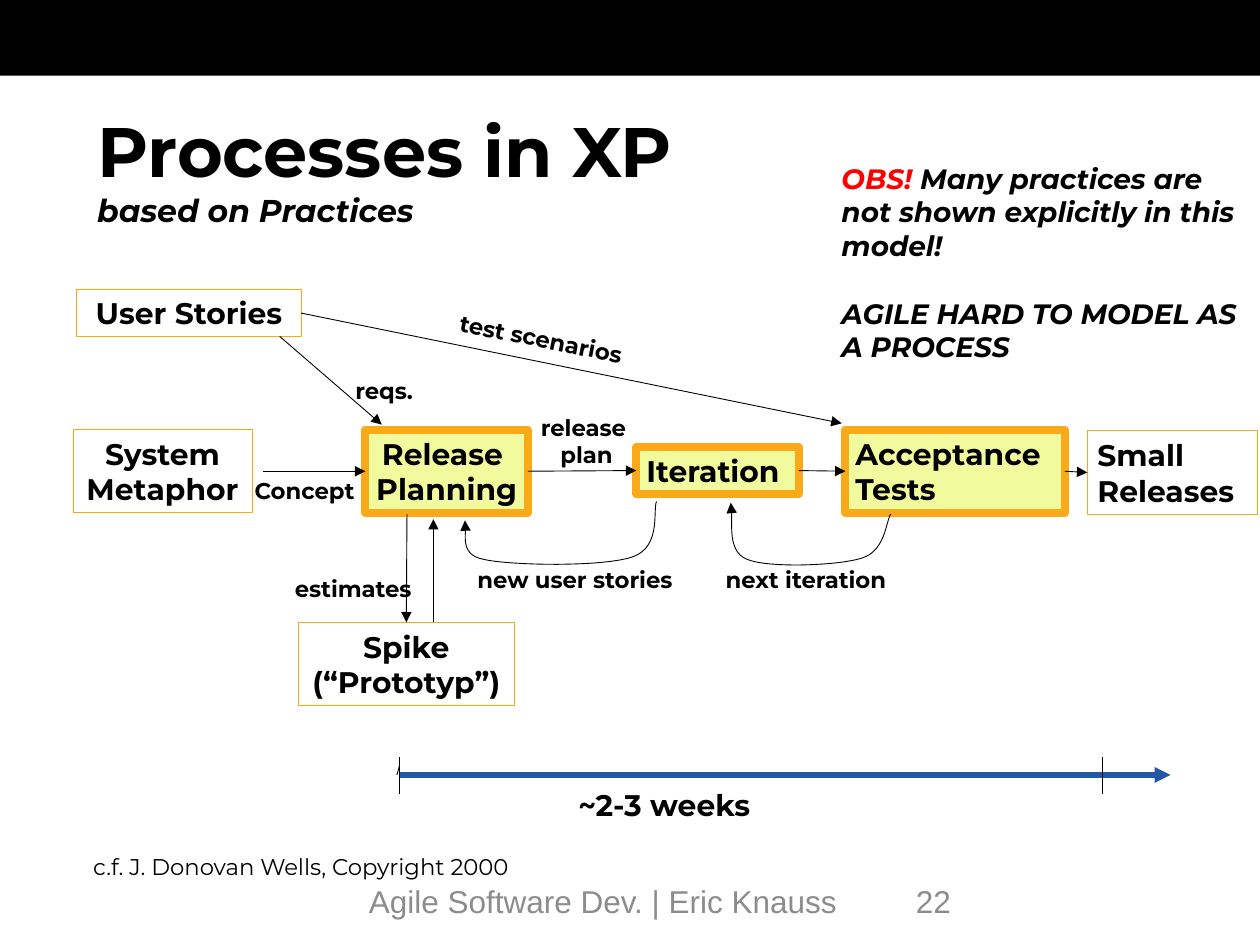
import lxml.etree
import pptx
import pptx.dml.color
import pptx.enum.shapes
import pptx.enum.text
import pptx.oxml.ns
import pptx.util

ALIGN = pptx.enum.text.PP_ALIGN
ANCHOR = pptx.enum.text.MSO_ANCHOR
FIT = pptx.enum.text.MSO_AUTO_SIZE
SHAPE = pptx.enum.shapes.MSO_SHAPE
STRAIGHT = pptx.enum.shapes.MSO_CONNECTOR.STRAIGHT
TOP, LEFT, RIGHT = 0, 1, 3

THEME = {
    "font": "Montserrat", "footer_font": "Arial",
    "black": "000000", "white": "FFFFFF", "alert": "FF0000",
    "border": "FAA918", "practice": "F1FA9C", "time": "2358A7", "footer": "8C8C8C",
    "title": 40, "subtitle": 18, "step": 17, "note": 16, "label": 13, "footer_size": 18,
    "thin": 0.5, "axis": 3, "thick": 4.5,
}

presentation = pptx.Presentation()
presentation.slide_width = pptx.util.Inches(10)
presentation.slide_height = pptx.util.Inches(7.5)
slide = presentation.slides.add_slide(presentation.slide_layouts[5])
shapes = slide.shapes
# The grid has 100 columns and 75 rows of square cells.
CELL = presentation.slide_width / 100


def grid(*cells):
    return [round(cell * CELL) for cell in cells]


def rgb(name):
    return pptx.dml.color.RGBColor.from_string(THEME[name])


def style_line(line_shape, color="black", width="thin", head=True):
    """Set the stroke, add the arrowhead and drop the theme shadow."""
    line_shape.line.color.rgb = rgb(color)
    line_shape.line.width = pptx.util.Pt(THEME[width])
    properties = line_shape._element.spPr
    if head:
        stroke = properties.find(pptx.oxml.ns.qn("a:ln"))
        lxml.etree.SubElement(stroke, pptx.oxml.ns.qn("a:tailEnd"), type="triangle")
    lxml.etree.SubElement(properties, pptx.oxml.ns.qn("a:effectLst"))


def write_tight(frame, lines, size, bold=True, align=ALIGN.LEFT):
    """Fill an unwrapped, tightly inset frame, one paragraph per line."""
    frame.word_wrap = False
    frame.auto_size = FIT.SHAPE_TO_FIT_TEXT
    frame.vertical_anchor = ANCHOR.MIDDLE
    frame.margin_left, frame.margin_top, frame.margin_right, frame.margin_bottom = grid(
        0.8, 0.4, 0.8, 0.4)
    frame.text = "\n".join(lines)
    for paragraph in frame.paragraphs:
        paragraph.alignment = align
        paragraph.font.name = THEME["font"]
        paragraph.font.size = pptx.util.Pt(THEME[size])
        paragraph.font.bold = bold
        paragraph.font.color.rgb = rgb("black")


# Header band and title
band = shapes.add_shape(SHAPE.RECTANGLE, *grid(0, 0, 100, 6))
band.shadow.inherit = False
band.fill.solid()
band.fill.fore_color.rgb = rgb("black")
band.line.fill.background()

title = shapes.title
title.left, title.top, title.width, title.height = grid(6.7, 9.2, 93.3, 8.3)
title.text_frame.auto_size = FIT.NONE
title.text_frame.vertical_anchor = ANCHOR.MIDDLE
heading = title.text_frame.paragraphs[0]
heading.alignment = ALIGN.LEFT
heading.font.name = THEME["font"]
heading.font.bold = True
heading.font.color.rgb = rgb("black")
main_title = heading.add_run()
main_title.text = "Processes in XP"
main_title.font.size = pptx.util.Pt(THEME["title"])
heading.add_line_break()
subtitle = heading.add_run()
subtitle.text = "based on Practices"
subtitle.font.size = pptx.util.Pt(THEME["subtitle"])
subtitle.font.italic = True

# Process steps
steps = {}
for step, lines, place, fill, border, align in [
    ("releases", ["Small", "Releases"], (86.3, 34.2, 13.5, 6.6), None, "thin", ALIGN.LEFT),
    ("tests", ["Acceptance", "Tests"], (67.1, 34.1, 17.4, 6.6), "practice", "thick", ALIGN.LEFT),
    ("iteration", ["Iteration"], (50.5, 35.5, 12.9, 3.7), "practice", "thick", ALIGN.LEFT),
    ("spike", ["Spike", "(“Prototyp”)"], (23.7, 49.4, 17.1, 6.6), None, "thin", ALIGN.CENTER),
    ("planning", ["Release ", "Planning"], (29, 34.1, 12.9, 6.6), "practice", "thick", ALIGN.CENTER),
    ("metaphor", ["System", "Metaphor"], (5.8, 34.1, 14.2, 6.6), "white", "thin", ALIGN.CENTER),
    ("stories", ["User Stories"], (6.1, 23, 17.8, 3.7), "white", "thin", ALIGN.CENTER),
]:
    box = steps[step] = shapes.add_shape(SHAPE.RECTANGLE, *grid(*place))
    if fill:
        box.fill.solid()
        box.fill.fore_color.rgb = rgb(fill)
    else:
        box.fill.background()
    style_line(box, "border", border, head=False)
    write_tight(box.text_frame, lines, "step", align=align)

# Straight flows: start and end cells, then the step sides they join
for ends, source, target in [
    ((84.5, 37.4, 86.3, 37.5), ("tests", RIGHT), ("releases", LEFT)),
    ((63.4, 37.4, 67.1, 37.4), ("iteration", RIGHT), ("tests", LEFT)),
    ((41.9, 37.4, 50.5, 37.4), ("planning", RIGHT), ("iteration", LEFT)),
    ((20.9, 37.4, 29, 37.4), None, ("planning", LEFT)),
    ((23.9, 24.8, 66.8, 33.6), ("stories", RIGHT), None),
    ((22.2, 26.7, 30.3, 33.7), None, None),
    ((32.3, 40.8, 32.3, 49.4), None, ("spike", TOP)),
    ((34.4, 49.4, 34.4, 41.2), None, None),
]:
    flow = shapes.add_connector(STRAIGHT, *grid(*ends))
    if source:
        flow.begin_connect(steps[source[0]], source[1])
    if target:
        flow.end_connect(steps[target[0]], target[1])
    style_line(flow)

# Feedback loops: each is a start point followed by Bézier triples
for loop in [
    [(70.7, 40.8), (70.3, 41.4), (70.3, 43.7), (68.4, 44.3), (66.5, 44.9),
     (61, 45.1), (59.3, 44.4), (57.5, 43.7), (58.3, 40.9), (58, 39.9)],
    [(52.1, 39.8), (51.8, 40.5), (52.5, 43.4), (50.2, 44.2), (47.9, 45),
     (40.6, 44.9), (38.4, 44.4), (36.2, 44), (37.2, 42), (36.9, 41.3)],
]:
    curve = []
    for first in range(0, len(loop) - 1, 3):
        controls = loop[first:first + 4]
        for tick in range(1, 17):
            t = tick / 16
            weights = ((1 - t) ** 3, 3 * t * (1 - t) ** 2, 3 * t ** 2 * (1 - t), t ** 3)
            curve.append(grid(*(sum(w * point[axis] for w, point in zip(weights, controls))
                                for axis in (0, 1))))
    outline = shapes.build_freeform(*grid(*loop[0]))
    outline.add_line_segments(curve, close=False)
    feedback = outline.convert_to_shape()
    feedback.fill.background()
    style_line(feedback)

# Time axis with its start and end marks
for ends, color, width, head in [
    ((31.7, 61.5, 92.9, 61.5), "time", "axis", True),
    ((31.7, 60.8, 31.5, 61.5), "black", "thin", False),
    ((31.7, 60.1, 31.7, 63), "black", "thin", False),
    ((87.5, 60.1, 87.5, 63), "black", "thin", False),
]:
    style_line(shapes.add_connector(STRAIGHT, *grid(*ends)), color, width, head)

# Labels
for lines, place, size, bold, align, angle in [
    (["next iteration"], (56.8, 44.5, 15.3, 3), "label", True, ALIGN.LEFT, 0),
    (["new user stories"], (37.1, 44.5, 18.3, 3), "label", True, ALIGN.LEFT, 0),
    (["Concept"], (19.4, 37.4, 10.1, 3), "label", True, ALIGN.LEFT, 0),
    (["test scenarios"], (35.6, 25.5, 16, 3), "label", True, ALIGN.LEFT, 11.2),
    (["reqs."], (27.4, 29.5, 6.7, 3), "label", True, ALIGN.LEFT, 0),
    (["release ", "plan"], (42, 32.4, 9.1, 5.2), "label", True, ALIGN.CENTER, 0),
    (["estimates"], (22.6, 45.2, 11.6, 3), "label", True, ALIGN.LEFT, 0),
    (["~2-3 weeks"], (45.1, 62, 16.5, 3.7), "step", True, ALIGN.LEFT, 0),
    (["c.f. J. Donovan Wells, Copyright 2000"], (6.6, 67.3, 38.5, 3), "label", False, ALIGN.LEFT, 0),
]:
    label = shapes.add_textbox(*grid(*place))
    label.rotation = angle
    write_tight(label.text_frame, lines, size, bold, align)

# Remark on the model
remark = shapes.add_textbox(*grid(65.8, 12.3, 34.2, 17.2)).text_frame
remark.word_wrap = True
caution = remark.paragraphs[0]
verdict = remark.add_paragraph()
verdict.space_before = pptx.util.Pt(19.5)
for paragraph, text, color in [
    (caution, "OBS! ", "alert"),
    (caution, "Many practices are not shown explicitly in this model!", "black"),
    (verdict, "AGILE HARD TO MODEL AS A PROCESS", "black"),
]:
    paragraph.font.name = THEME["font"]
    paragraph.font.size = pptx.util.Pt(THEME["note"])
    paragraph.font.bold = paragraph.font.italic = True
    phrase = paragraph.add_run()
    phrase.text = text
    phrase.font.color.rgb = rgb(color)

# Footer
for text, place in [("Agile Software Dev. | Eric Knauss", (28.3, 69.5, 43.3, 4)),
                    ("22", (71.7, 69.5, 23.3, 4))]:
    footer = shapes.add_textbox(*grid(*place)).text_frame
    footer.word_wrap = True
    footer.text = text
    footer.paragraphs[0].font.name = THEME["footer_font"]
    footer.paragraphs[0].font.size = pptx.util.Pt(THEME["footer_size"])
    footer.paragraphs[0].font.color.rgb = rgb("footer")

presentation.save("out.pptx")
